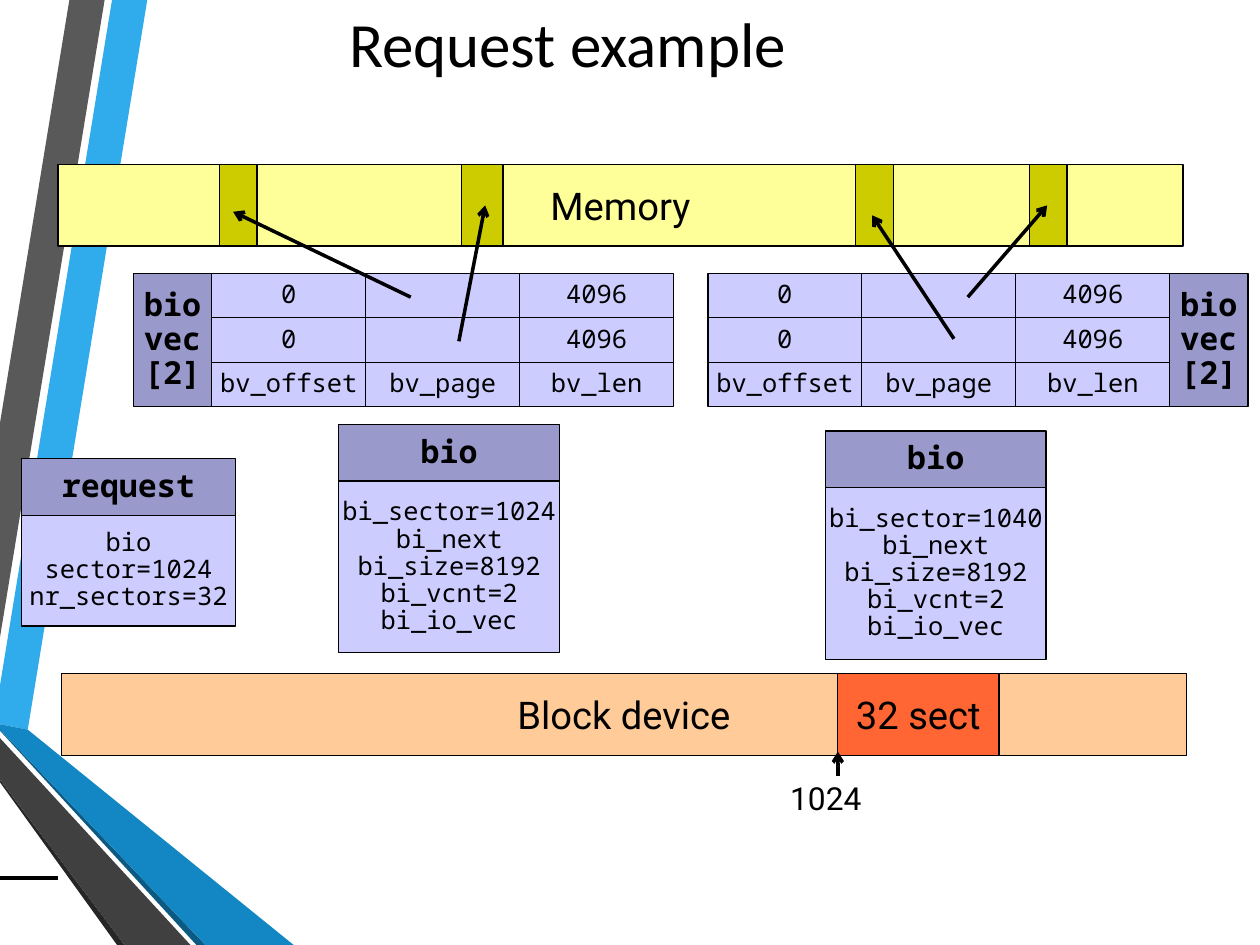
from lxml import etree
from pptx import Presentation
from pptx.dml.color import RGBColor
from pptx.enum.shapes import MSO_CONNECTOR, MSO_SHAPE
from pptx.enum.text import MSO_ANCHOR, MSO_AUTO_SIZE, PP_ALIGN
from pptx.oxml.ns import qn
from pptx.util import Cm, Pt

RECTANGLE = MSO_SHAPE.RECTANGLE
STRAIGHT = MSO_CONNECTOR.STRAIGHT
CENTER, LEFT = PP_ALIGN.CENTER, PP_ALIGN.LEFT
MIDDLE, TOP = MSO_ANCHOR.MIDDLE, MSO_ANCHOR.TOP
NO_AUTOSIZE = MSO_AUTO_SIZE.NONE

COLORS = {
    "black": "000000",
    "memory": "FFFF99", "page": "CCCC00",
    "device": "FFCC99", "sectors": "FF6633",
    "header": "9999CC", "field": "CCCCFF",
    "sky": "30ACEC", "blue": "1287C3", "navy": "0C5A82",
    "gray": "595959", "charcoal": "404040", "coal": "262626",
}
MONO, SANS = "Noto Sans Mono", "Roboto"
HEADER_TEXT = {"font": MONO, "size": 18.1, "bold": True, "spacing": 0.89}
FIELD_TEXT = {"font": MONO, "size": 14.5, "spacing": 0.89}

RIBBONS = [
    ("sky", [(0, 13.82), (0, 14.6), (0.56, 14.71), (2.97, 0), (2.26, 0)]),
    ("gray", [(2.11, 0), (1.4, 0), (0, 8.53), (0, 12.85)]),
    ("coal", [(0, 15.72), (0, 15.77), (2.36, 19.05), (2.51, 19.05)]),
    ("navy", [(0, 14.71), (0, 14.73), (3.96, 19.05), (4.14, 19.05)]),
    ("blue", [(0, 14.71), (4.14, 19.05), (5.92, 19.05), (0.56, 14.71), (0, 14.6)]),
    ("charcoal", [(0, 15.72), (2.51, 19.05), (3.84, 19.05), (0, 14.88)]),
]


def color(name):
    return RGBColor.from_string(COLORS[name])


def write(shape, text, font=SANS, size=21.8, bold=False, align=CENTER,
          anchor=MIDDLE, spacing=1.0):
    frame = shape.text_frame
    frame.word_wrap = True
    frame.auto_size = NO_AUTOSIZE
    frame.vertical_anchor = anchor
    frame.margin_left = frame.margin_right = 0
    frame.margin_top = frame.margin_bottom = 0
    frame.text = text
    for paragraph in frame.paragraphs:
        paragraph.alignment = align
        paragraph.line_spacing = spacing
        paragraph.font.name = font
        paragraph.font.size = Pt(size)
        paragraph.font.bold = bold
        paragraph.font.color.rgb = color("black")


def box(slide, left, top, width, height, fill, text="", **text_format):
    shape = slide.shapes.add_shape(
        RECTANGLE, Cm(left), Cm(top), Cm(width), Cm(height))
    shape.shadow.inherit = False
    shape.fill.solid()
    shape.fill.fore_color.rgb = color(fill)
    shape.line.color.rgb = color("black")
    shape.line.width = Pt(0)
    if text:
        write(shape, text, **text_format)


def hairline(slide, start, end, arrow=True):
    connector = slide.shapes.add_connector(
        STRAIGHT, *(Cm(value) for value in (*start, *end)))
    connector.line.color.rgb = color("black")
    connector.line.width = Pt(0)
    properties = connector._element.spPr
    if arrow:
        line = properties.find(qn("a:ln"))
        etree.SubElement(line, qn("a:tailEnd"), type="arrow")
    etree.SubElement(properties, qn("a:effectLst"))


def draw_ribbons(slide):
    for fill, corners in RIBBONS:
        start, *others = [(Cm(x), Cm(y)) for x, y in corners]
        builder = slide.shapes.build_freeform(*start, scale=1.0)
        builder.add_line_segments(others, close=True)
        ribbon = builder.convert_to_shape()
        ribbon.shadow.inherit = False
        ribbon.fill.solid()
        ribbon.fill.fore_color.rgb = color(fill)
        ribbon.line.fill.background()


def place_title(slide, left, top, width, height):
    title = slide.shapes.title
    title.left, title.top = Cm(left), Cm(top)
    title.width, title.height = Cm(width), Cm(height)
    write(title, "Request example", font="Calibri", size=36)


def draw_block_device(slide, left, top, width, height):
    request_left = left + 15.65
    box(slide, left, top, width, height, "device", "Block device")
    box(slide, request_left, top, 3.25, height, "sectors", "32 sect")
    start_sector = slide.shapes.add_textbox(
        Cm(request_left - 0.96), Cm(top + 2.13), Cm(1.8), Cm(0.79))
    write(start_sector, "1024", size=18.1, align=LEFT, anchor=TOP)
    hairline(slide, (request_left, top + 2.06), (request_left, top + 1.57))


def draw_memory(slide, left, top, width, height):
    box(slide, left, top, width, height, "memory", "Memory")
    for offset, page_width in [(3.25, 0.76), (8.13, 0.84), (16.08, 0.76), (19.58, 0.76)]:
        box(slide, left + offset, top, page_width, height, "page")


def draw_struct(slide, left, top, width, height, name, fields):
    """Header with the struct name above a box that lists its fields."""
    header = 1.14
    box(slide, left, top + header, width, height - header, "field",
        "\n".join(fields), **FIELD_TEXT)
    box(slide, left, top, width, header, "header", name, **HEADER_TEXT)


def draw_bio(slide, left, top, sector):
    fields = [f"bi_sector={sector}", "bi_next", "bi_size=8192", "bi_vcnt=2", "bi_io_vec"]
    draw_struct(slide, left, top, 4.45, 4.6, "bio", fields)


def draw_bio_vec(slide, left, top, width, height, label_on_left, page_links):
    """Grid of two vector entries, its side label and the links to memory pages."""
    rows = [("0", "", "4096"), ("0", "", "4096"), ("bv_offset", "bv_page", "bv_len")]
    column_width, row_height = width / 3, height / 3
    for row, cells in enumerate(rows):
        for column, cell in enumerate(cells):
            box(slide, left + column * column_width, top + row * row_height,
                column_width, row_height, "field", cell, **FIELD_TEXT)
    label_width = 1.58
    label_left = left - label_width if label_on_left else left + width
    box(slide, label_left, top, label_width, height, "header", "bio\nvec\n[2]",
        **HEADER_TEXT)
    for (x1, y1), (x2, y2) in page_links:
        hairline(slide, (left + x1, top + y1), (left + x2, top + y2))


def main():
    presentation = Presentation()
    presentation.slide_width, presentation.slide_height = Cm(25.4), Cm(19.05)
    slide = presentation.slides.add_slide(presentation.slide_layouts[5])

    draw_ribbons(slide)
    place_title(slide, 0, 0, 22.89, 1.72)
    draw_block_device(slide, 1.24, 13.58, 22.68, 1.65)
    draw_memory(slide, 1.17, 3.31, 22.68, 1.65)
    draw_struct(slide, 0.43, 9.25, 4.32, 3.37, "request",
                ["bio", "sector=1024", "nr_sectors=32"])
    draw_bio(slide, 6.83, 8.56, 1024)
    draw_bio(slide, 16.64, 8.69, 1040)
    draw_bio_vec(slide, 4.27, 5.51, 9.31, 2.69, True,
                 [((4.01, 0.48), (0.43, -1.24)), ((4.98, 1.37), (5.51, -1.37))])
    draw_bio_vec(slide, 14.27, 5.51, 9.31, 2.69, False,
                 [((5.24, 0.48), (6.84, -1.37)), ((4.96, 1.32), (3.31, -1.17))])
    hairline(slide, (0, 17.7), (1.17, 17.7), arrow=False)

    presentation.save("out.pptx")


if __name__ == "__main__":
    main()
